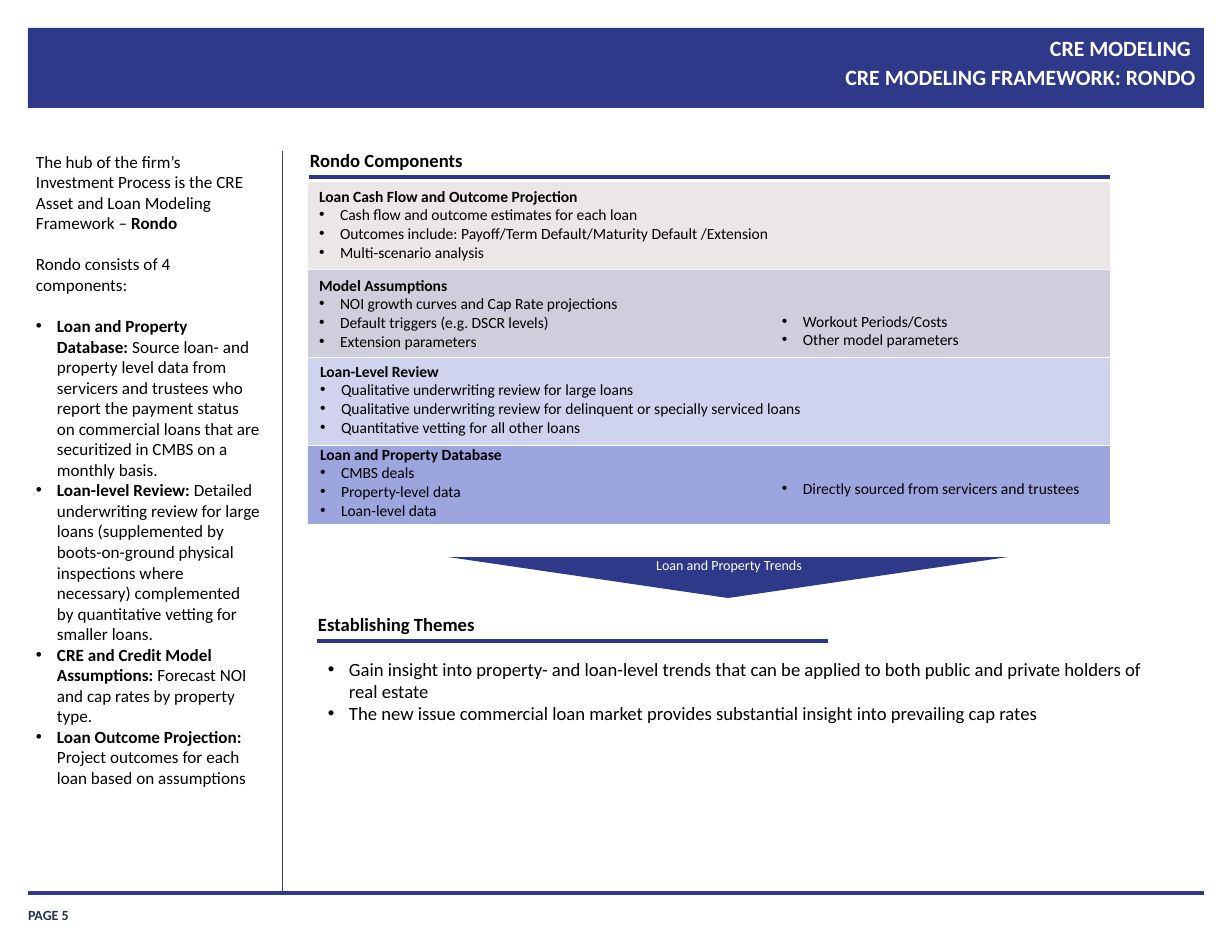
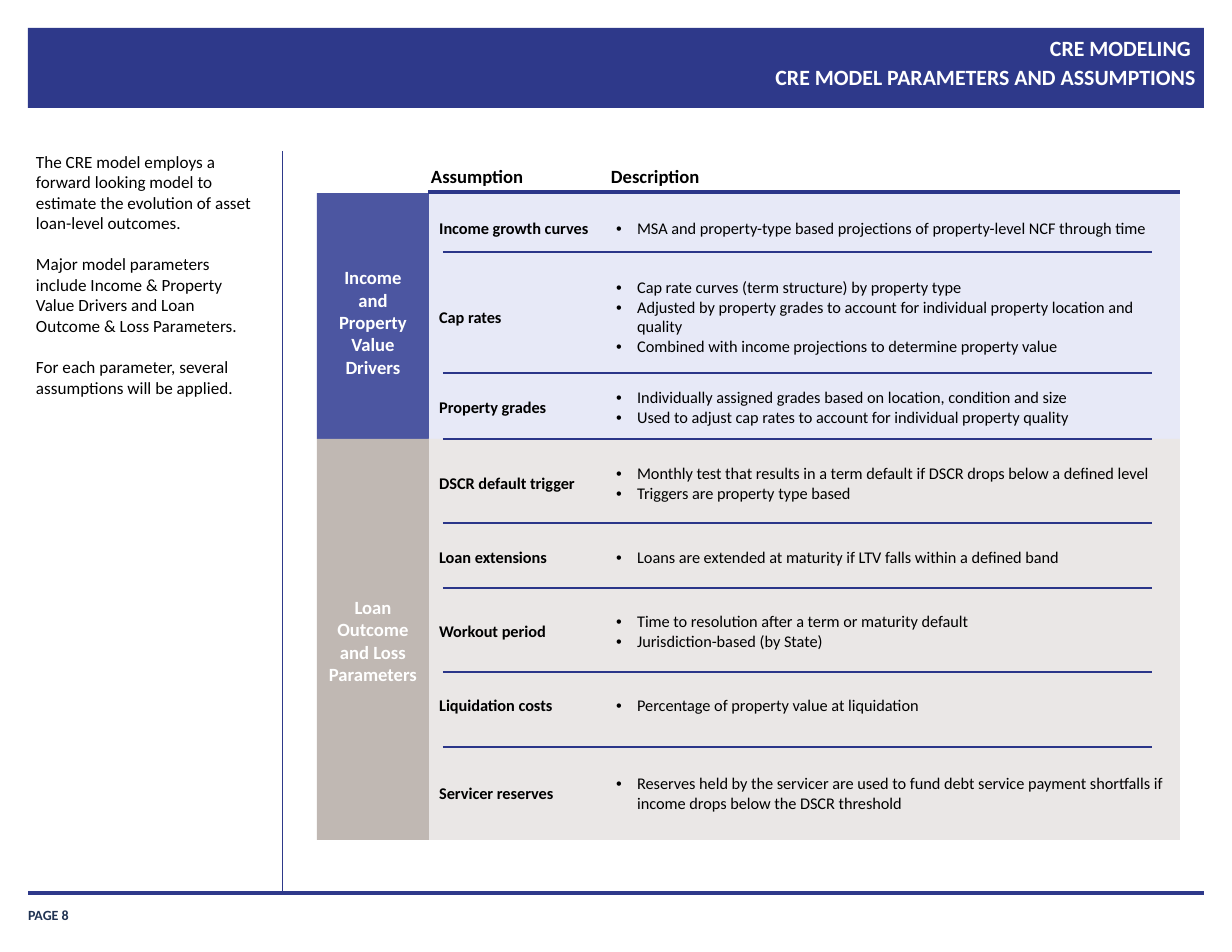
from lxml import etree
from pptx import Presentation
from pptx.dml.color import RGBColor
from pptx.enum.shapes import MSO_CONNECTOR, MSO_SHAPE
from pptx.enum.text import MSO_ANCHOR, PP_ALIGN
from pptx.oxml.ns import qn
from pptx.util import Emu, Pt

PX_PER_INCH = 112
FONT = "Calibri"
NAVY, RULE, FOOTER = "2E398A", "2B3689", "203353"
BLACK, WHITE = "000000", "FFFFFF"
WARM_GREY, TAUPE = "EAE7E6", "C0B8B3"
PALE_BLUE, INDIGO = "E7E9F7", "4C56A1"
BULLET = "• "
BULLET_INDENT = 21
NO_GRID_STYLE = "{2D5ABB26-0587-4C30-8999-92F81FD0307C}"

SIDEBAR_FRAMEWORK = [
    "The hub of the firm’s Investment Process is the CRE Asset and Loan Modeling Framework – **Rondo**",
    "Rondo consists of 4 components:",
    "• **Loan and Property Database: **Source loan- and property level data from servicers and "
    "trustees who report the payment status on commercial loans that are securitized in CMBS "
    "on a monthly basis.",
    "• **Loan-level Review: **Detailed underwriting review for large loans (supplemented by "
    "boots-on-ground physical inspections where necessary) complemented by quantitative "
    "vetting for smaller loans.",
    "• **CRE and Credit Model Assumptions: **Forecast NOI and cap rates by property type.",
    "• **Loan Outcome Projection: **Project outcomes for each loan based on assumptions",
]

SIDEBAR_PARAMETERS = [
    "The CRE model employs a forward looking model to estimate the evolution of asset "
    "loan-level outcomes.",
    "Major model parameters include Income & Property Value Drivers and Loan Outcome & "
    "Loss Parameters.",
    "For each parameter, several assumptions will be applied.",
]

# Each component: fill, band height, text left, text top, lines
COMPONENTS = [
    (WARM_GREY, 87, 308, 181, [
        "**Loan Cash Flow and Outcome Projection**",
        "• Cash flow and outcome estimates for each loan",
        "• Outcomes include: Payoff/Term Default/Maturity Default /Extension",
        "• Multi-scenario analysis"]),
    ("CECEDC", 87, 308, 270, [
        "**Model Assumptions**",
        "• NOI growth curves and Cap Rate projections",
        "• Default triggers (e.g. DSCR levels)",
        "• Extension parameters"]),
    ("CFD3EE", 87, 309, 356, [
        "**Loan-Level Review**",
        "• Qualitative underwriting review for large loans",
        "• Qualitative underwriting review for delinquent or specially serviced loans",
        "• Quantitative vetting for all other loans"]),
    ("9DA5DE", 78, 309, 439, [
        "**Loan and Property Database**",
        "• CMBS deals",
        "• Property-level data",
        "• Loan-level data"]),
]

THEMES = [
    "• Gain insight into property- and loan-level trends that can be applied to both public "
    "and private holders of real estate",
    "• The new issue commercial loan market provides substantial insight into prevailing cap rates",
]

# Each assumption: row height, name, description lines
ASSUMPTIONS = [
    (72, "Income growth curves", [
        "• MSA and property-type based projections of property-level NCF through time"]),
    (105, "Cap rates", [
        "• Cap rate curves (term structure) by property type",
        "• Adjusted by property grades to account for individual property location and quality",
        "• Combined with income projections to determine property value"]),
    (76, "Property grades", [
        "• Individually assigned grades based on location, condition and size",
        "• Used to adjust cap rates to account for individual property quality"]),
    (76, "DSCR default trigger", [
        "• Monthly test that results in a term default if DSCR drops below a defined level",
        "• Triggers are property type based"]),
    (72, "Loan extensions", [
        "• Loans are extended at maturity if LTV falls within a defined band"]),
    (76, "Workout period", [
        "• Time to resolution after a term or maturity default",
        "• Jurisdiction-based (by State)"]),
    (72, "Liquidation costs", [
        "• Percentage of property value at liquidation"]),
    (105, "Servicer reserves", [
        "• Reserves held by the servicer are used to fund debt service payment shortfalls if "
        "income drops below the DSCR threshold"]),
]
ROW_RULES = [252, 373, 439, 523, 588, 672, 747]


def px(length):
    return Emu(round(length * 914400 / PX_PER_INCH))


def color(value):
    return RGBColor.from_string(value)


def add_bullet(para):
    properties = para._p.get_or_add_pPr()
    properties.set("marL", str(px(BULLET_INDENT)))
    properties.set("indent", str(-px(BULLET_INDENT)))
    etree.SubElement(properties, qn("a:buFont")).set("typeface", "Arial")
    etree.SubElement(properties, qn("a:buChar")).set("char", "•")


def style_font(font, size, hue, bold):
    font.name = FONT
    font.size = Pt(size)
    font.color.rgb = color(hue)
    font.bold = bold


def write(frame, lines, size, hue=BLACK, align=PP_ALIGN.LEFT, gaps=()):
    """Fill a text frame; ** switches bold, gaps lists paragraphs set apart by one line."""
    frame.word_wrap = True
    for index, line in enumerate(lines):
        para = frame.add_paragraph() if index else frame.paragraphs[0]
        if line.startswith(BULLET):
            add_bullet(para)
        para.alignment = align
        if index in gaps:
            para.space_before = Pt(size * 1.2)
        for part, text in enumerate(line.removeprefix(BULLET).split("**")):
            if text:
                span = para.add_run()
                span.text = text
                style_font(span.font, size, hue, part % 2 == 1)


def set_margins(frame, margin):
    frame.margin_left = frame.margin_right = px(margin)
    frame.margin_top = frame.margin_bottom = px(margin)


def add_text(page, left, top, width, height, lines, size, margin=None,
             anchor=MSO_ANCHOR.TOP, **style):
    frame = page.shapes.add_textbox(px(left), px(top), px(width), px(height)).text_frame
    frame.vertical_anchor = anchor
    if margin is not None:
        set_margins(frame, margin)
    write(frame, lines, size, **style)


def add_panel(page, left, top, width, height, fill, kind=MSO_SHAPE.RECTANGLE):
    panel = page.shapes.add_shape(kind, px(left), px(top), px(width), px(height))
    panel.shadow.inherit = False
    panel.fill.solid()
    panel.fill.fore_color.rgb = color(fill)
    panel.line.fill.background()
    return panel


def add_rule(page, x1, y1, x2, y2, weight, hue=RULE):
    rule = page.shapes.add_connector(MSO_CONNECTOR.STRAIGHT, px(x1), px(y1), px(x2), px(y2))
    rule.line.color.rgb = color(hue)
    rule.line.width = Pt(weight)
    etree.SubElement(rule._element.spPr, qn("a:effectLst"))


def add_heading(page, left, top, text):
    add_text(page, left, top, 256, 34, [f"**{text}**"], 12)


def add_group_label(page, top, height, lines, margin):
    add_text(page, 317, top, 112, height, lines, 12, margin=margin,
             anchor=MSO_ANCHOR.MIDDLE, hue=WHITE, align=PP_ALIGN.CENTER)


def add_page(deck, subtitle, number, sidebar, gaps):
    page = deck.slides.add_slide(deck.slide_layouts[5])
    # Band, footer and column divider; the band goes behind the title
    band = add_panel(page, 28, 28, 1176, 80, NAVY)
    page.shapes._spTree.insert(2, band._element)
    add_text(page, 28, 897, 102, 26, [f"**PAGE {number}**"], 9, margin=0,
             anchor=MSO_ANCHOR.BOTTOM, hue=FOOTER)
    add_rule(page, 28, 893, 1204, 893, 2.25, NAVY)
    add_rule(page, 282, 151, 282, 893, 0.5, NAVY)
    # Title
    title = page.shapes.title
    title.left, title.top, title.width, title.height = px(355), px(32), px(841), px(75)
    frame = title.text_frame
    frame.word_wrap = True
    frame.vertical_anchor = MSO_ANCHOR.TOP
    set_margins(frame, 0)
    para = frame.paragraphs[0]
    para.alignment = PP_ALIGN.RIGHT
    para.line_spacing = 1.1
    for index, text in enumerate(["CRE MODELING ", subtitle]):
        if index:
            para.add_line_break()
        span = para.add_run()
        span.text = text
        style_font(span.font, 14, WHITE, True)
    # Sidebar
    add_text(page, 36, 151, 225, 614, sidebar, 11, margin=0, gaps=gaps)
    return page


def add_assumption_table(page, left, top, widths):
    heights = [height for height, _, _ in ASSUMPTIONS]
    table = page.shapes.add_table(len(heights), len(widths), px(left), px(top),
                                  px(sum(widths)), px(sum(heights))).table
    table._tbl.tblPr.find(qn("a:tableStyleId")).text = NO_GRID_STYLE
    table.first_row = table.horz_banding = False
    for column, width in zip(table.columns, widths):
        column.width = px(width)
    for row, (height, name, description) in zip(table.rows, ASSUMPTIONS):
        row.height = px(height)
        for cell, lines in zip(row.cells, ([f"**{name}**"], description)):
            cell.fill.background()
            cell.vertical_anchor = MSO_ANCHOR.MIDDLE
            write(cell.text_frame, lines, 10.5)


def build_framework(deck):
    page = add_page(deck, "CRE MODELING FRAMEWORK: RONDO", 5, SIDEBAR_FRAMEWORK, (1, 2))
    # Component bands
    add_heading(page, 299, 143, "Rondo Components")
    for index, (fill, height, left, top, lines) in enumerate(COMPONENTS):
        add_panel(page, 308, 182 + 88 * index, 802, height, fill)
        add_text(page, left, top, 848, 86, lines, 10)
    add_text(page, 771, 306, 339, 54,
             ["• Workout Periods/Costs", "• Other model parameters"], 10)
    add_text(page, 771, 473, 339, 54,
             ["• Directly sourced from servicers and trustees"], 10)
    add_rule(page, 309, 177, 1110, 177, 2.25)
    # Arrow to the themes
    arrow = add_panel(page, 448, 557, 560, 41, NAVY, MSO_SHAPE.ISOSCELES_TRIANGLE)
    arrow.rotation = 180
    add_text(page, 628, 551, 202, 28, ["Loan and Property Trends"], 9,
             hue=WHITE, align=PP_ALIGN.CENTER)
    # Themes
    add_heading(page, 307, 607, "Establishing Themes")
    add_rule(page, 317, 641, 828, 641, 2.25)
    add_text(page, 317, 652, 852, 80, THEMES, 12)


def build_parameters(deck):
    page = add_page(deck, "CRE MODEL PARAMETERS AND ASSUMPTIONS", 8, SIDEBAR_PARAMETERS, (1, 2))
    # Group backgrounds and labels
    for top, height, label_fill, fill in ((193, 246, INDIGO, PALE_BLUE),
                                          (439, 401, TAUPE, WARM_GREY)):
        add_panel(page, 428, top, 752, height, fill)
        add_panel(page, 317, top, 112, height, label_fill)
    add_group_label(page, 199, 246, ["**Income and Property**", "**Value Drivers**"], 16)
    add_group_label(page, 440, 401, ["**Loan Outcome and Loss Parameters**"], 10)
    # Assumption table with its headings and rules
    add_assumption_table(page, 428, 193, (177, 579))
    add_heading(page, 420, 159, "Assumption")
    add_heading(page, 600, 159, "Description")
    add_rule(page, 428, 192, 1180, 192, 2.25)
    for y in ROW_RULES:
        add_rule(page, 443, y, 1152, y, 0.75)


def main():
    deck = Presentation()
    deck.slide_width, deck.slide_height = px(1232), px(952)
    build_framework(deck)
    build_parameters(deck)
    deck.save("out.pptx")


if __name__ == "__main__":
    main()
